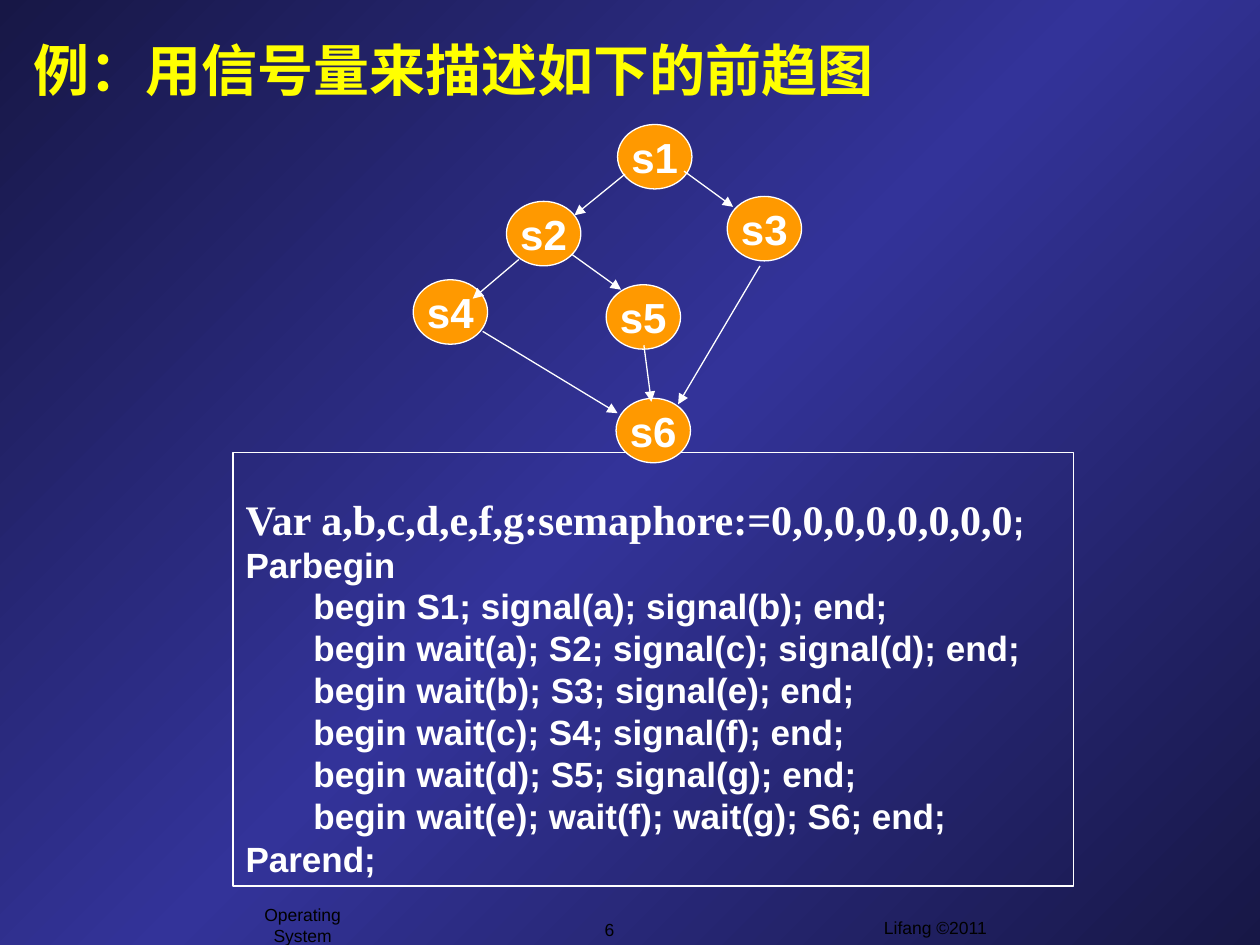
from copy import deepcopy

from lxml import etree
from pptx import Presentation
from pptx import util as u
from pptx.dml import color as dml
from pptx.enum import shapes, text
from pptx.oxml import ns


def color(value):
    return dml.RGBColor.from_string(value)


def write(paragraph, words, size=20, font="Arial", fill="FFFFFF", bold=True, align=None):
    run = paragraph.add_run()
    run.text = words
    run.font.size = u.Pt(size)
    run.font.name = font
    run.font.bold = bold
    run.font.color.rgb = color(fill)
    paragraph.alignment = align


presentation = Presentation()
presentation.slide_width, presentation.slide_height = u.Cm(25.4), u.Cm(19.05)
slide = presentation.slides.add_slide(presentation.slide_layouts[6])

background = slide.background.fill
background.gradient()
background.gradient_angle = 315
stop_list = slide._element.find(".//" + ns.qn("a:gsLst"))
stop_list.append(deepcopy(stop_list[0]))
for stop, position, value in zip(background.gradient_stops, (0, 0.5, 1), ("171746", "333399", "171746")):
    stop.position = position
    stop.color.rgb = color(value)

footers = [
    ("Lifang ©2011", 14.83, 18.36, 8.05, 0.89, text.MSO_ANCHOR.TOP),
    ("6", 11.23, 18.39, 2.11, 0.69, text.MSO_ANCHOR.MIDDLE),
    ("Operating System", 4.45, 18.31, 3.3, 0.69, text.MSO_ANCHOR.MIDDLE),
]
for words, left, top, width, height, anchor in footers:
    footer = slide.shapes.add_textbox(u.Cm(left), u.Cm(top), u.Cm(width), u.Cm(height)).text_frame
    footer.word_wrap = True
    footer.vertical_anchor = anchor
    write(footer.paragraphs[0], words, size=10, fill="000000", bold=False, align=text.PP_ALIGN.CENTER)

title = slide.shapes.add_textbox(u.Cm(0.43), u.Cm(0.53), u.Cm(22.86), u.Cm(1.73)).text_frame
title.word_wrap = True
title.vertical_anchor = text.MSO_ANCHOR.MIDDLE
write(title.paragraphs[0], "例：用信号量来描述如下的前趋图", size=32, font="Times New Roman", fill="FFFF00")

code_box = slide.shapes.add_shape(shapes.MSO_SHAPE.RECTANGLE, u.Cm(4.7), u.Cm(9.12), u.Cm(16.94), u.Cm(8.74))
code_box.shadow.inherit = False
code_box.fill.background()
code_box.line.color.rgb = color("FFFFFF")
code_box.line.width = u.Pt(0.75)
code = code_box.text_frame
code.word_wrap = True
code.vertical_anchor = text.MSO_ANCHOR.TOP
code.margin_left, code.margin_top = u.Cm(1.62), u.Cm(2.67)
processes = [
    "begin S1; signal(a); signal(b); end;",
    "begin wait(a); S2; signal(c); signal(d); end;",
    "begin wait(b); S3; signal(e); end;",
    "begin wait(c); S4; signal(f); end;",
    "begin wait(d); S5; signal(g); end;",
    "begin wait(e); wait(f); wait(g); S6; end;",
]
for index, process in enumerate(processes):
    paragraph = code.add_paragraph() if index else code.paragraphs[0]
    paragraph.line_spacing = u.Pt(24)
    write(paragraph, process, align=text.PP_ALIGN.LEFT)

graph = slide.shapes.add_group_shape().shapes
nodes = [
    ("s1", 12.45, 2.51),
    ("s2", 10.21, 4.06),
    ("s4", 8.33, 5.64),
    ("s5", 12.22, 5.74),
    ("s3", 14.66, 3.96),
    ("s6", 12.42, 8.03),
]
for name, left, top in nodes:
    node = graph.add_shape(shapes.MSO_SHAPE.OVAL, u.Cm(left), u.Cm(top), u.Cm(1.5), u.Cm(1.3))
    node.shadow.inherit = False
    node.fill.solid()
    node.fill.fore_color.rgb = color("FF9900")
    node.line.color.rgb = color("FFFFFF")
    node.line.width = u.Pt(0.75)
    node.text_frame.word_wrap = False
    node.text_frame.vertical_anchor = text.MSO_ANCHOR.MIDDLE
    write(node.text_frame.paragraphs[0], name, size=24, align=text.PP_ALIGN.CENTER)

edges = [
    (12.6, 3.51, 11.58, 4.34),
    (10.46, 5.23, 9.53, 6.02),
    (13.79, 3.45, 14.78, 4.17),
    (11.53, 5.13, 12.52, 5.84),
    (9.73, 6.68, 12.45, 8.33),
    (12.98, 6.96, 13.13, 8.1),
    (15.32, 5.36, 13.67, 8.15),
]
for edge in edges:
    arrow = graph.add_connector(shapes.MSO_CONNECTOR.STRAIGHT, *map(u.Cm, edge))
    arrow.line.color.rgb = color("FFFFFF")
    arrow.line.width = u.Pt(0.75)
    properties = arrow._element.spPr
    etree.SubElement(properties.find(ns.qn("a:ln")), ns.qn("a:tailEnd"), type="triangle")
    etree.SubElement(properties, ns.qn("a:effectLst"))

program = slide.shapes.add_textbox(u.Cm(4.7), u.Cm(8.97), u.Cm(19.23), u.Cm(8.89)).text_frame
program.word_wrap = True
program.margin_top = u.Cm(0.97)
declaration = program.paragraphs[0]
declaration.line_spacing = u.Pt(28.8)
write(declaration, "Var a,b,c,d,e,f,g:semaphore:=0,0,0,0,0,0,0,0", size=24, font="Times New Roman")
write(declaration, ";")
for keyword, gap in (("Parbegin", 0), ("Parend;", 144)):
    paragraph = program.add_paragraph()
    paragraph.line_spacing = u.Pt(24)
    paragraph.space_before = u.Pt(gap)
    write(paragraph, keyword)

presentation.save("out.pptx")
